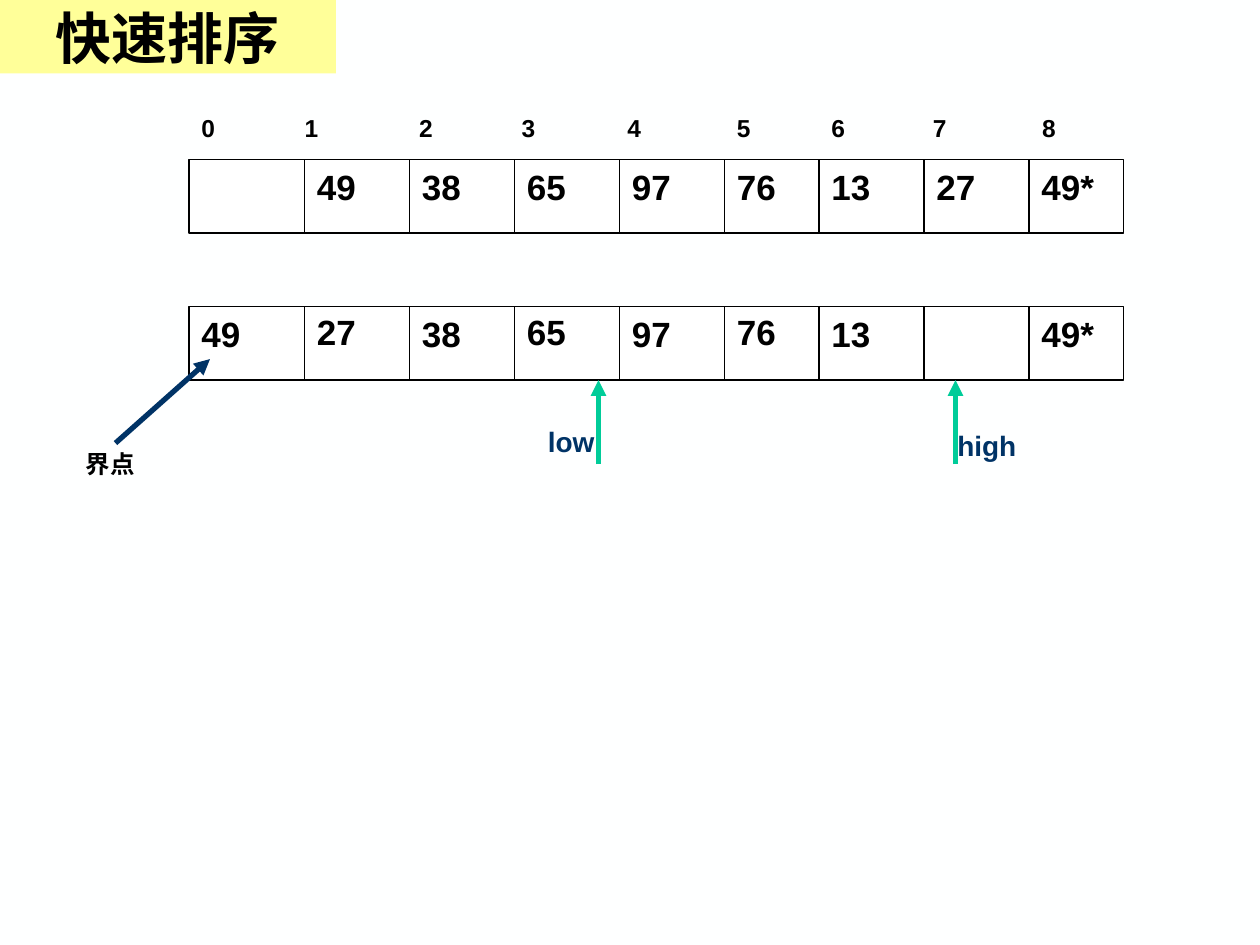
import pptx
import pptx.dml.color
import pptx.enum.shapes
import pptx.enum.text
import pptx.oxml
import pptx.oxml.ns
import pptx.util

Pt = pptx.util.Pt
RGBColor = pptx.dml.color.RGBColor
MSO_SHAPE = pptx.enum.shapes.MSO_SHAPE
MSO_CONNECTOR = pptx.enum.shapes.MSO_CONNECTOR
PP_ALIGN = pptx.enum.text.PP_ALIGN
MSO_ANCHOR = pptx.enum.text.MSO_ANCHOR
MSO_AUTO_SIZE = pptx.enum.text.MSO_AUTO_SIZE

BLACK = RGBColor(0x00, 0x00, 0x00)
WHITE = RGBColor(0xFF, 0xFF, 0xFF)
PAPER = RGBColor(0xFE, 0xFF, 0xFF)
YELLOW = RGBColor(0xFF, 0xFF, 0x99)
GREEN = RGBColor(0x00, 0xCC, 0x99)
NAVY = RGBColor(0x00, 0x33, 0x66)

# Left edges of the array cells, and the right edge of the last one
EDGES = [108, 174, 234, 294, 354, 414, 468, 528, 588, 642]
ROW_H = 42
INDEX_TABS = [59, 124.5, 183, 243.5, 306, 360, 418, 480.5]

BEFORE_TOP, AFTER_TOP = 91.2, 175.2
BEFORE = ["", "49", "38", "65", "97", "76", "13", "27", "49*"]
AFTER = ["49", "27", "38", "65", "97", "76", "13", "", "49*"]
RAISED = {1, 3, 5}  # cells of the second row whose text sits a little higher


def add_run(p, text, size, color, font):
    r = p.add_run()
    r.text = text
    r.font.size = Pt(size)
    r.font.bold = True
    r.font.name = font
    r.font.color.rgb = color


def add_text(shapes, text, x, y, w, h, size, color=BLACK):
    tb = shapes.add_textbox(Pt(x), Pt(y), Pt(w), Pt(h))
    tf = tb.text_frame
    tf.word_wrap = True
    tf.auto_size = MSO_AUTO_SIZE.SHAPE_TO_FIT_TEXT
    p = tf.paragraphs[0]
    p.space_before = Pt(size * 0.625)
    add_run(p, text, size, color, "Arial")
    return p


def add_line(shapes, x1, y1, x2, y2, color=BLACK, width=0.75, arrow=False):
    cn = shapes.add_connector(MSO_CONNECTOR.STRAIGHT, Pt(x1), Pt(y1), Pt(x2), Pt(y2))
    cn.line.color.rgb = color
    cn.line.width = Pt(width)
    if arrow:
        ln = cn.line._get_or_add_ln()
        pptx.oxml.ns.qn("a:tailEnd")
        tail = pptx.oxml.parse_xml(
            f'<a:tailEnd {pptx.oxml.ns.nsdecls("a")} type="triangle"/>')
        ln.append(tail)
    cn._element.spPr.append(
        pptx.oxml.parse_xml(f'<a:effectLst {pptx.oxml.ns.nsdecls("a")}/>'))


def add_title(s):
    sp = s.shapes.title
    sp.left, sp.top, sp.width, sp.height = Pt(0), Pt(0), Pt(192), Pt(42)
    sp.fill.solid()
    sp.fill.fore_color.rgb = YELLOW
    tf = sp.text_frame
    tf.auto_size = MSO_AUTO_SIZE.NONE
    tf.vertical_anchor = MSO_ANCHOR.MIDDLE
    p = tf.paragraphs[0]
    p.alignment = PP_ALIGN.CENTER
    add_run(p, "快速排序", 32, BLACK, "Times New Roman")


def add_index_labels(s):
    text = "\t".join(str(i) for i in range(9))
    p = add_text(s.shapes, text, EDGES[0], 61.2, EDGES[-1] - EDGES[0], 24.2, 14)
    stops = "".join(f'<a:tab pos="{Pt(x)}" algn="l"/>' for x in INDEX_TABS)
    p._p.get_or_add_pPr().append(pptx.oxml.parse_xml(
        f'<a:tabLst {pptx.oxml.ns.nsdecls("a")}>{stops}</a:tabLst>'))


def add_array(s, values, top, raised=()):
    # Frame and dividers
    grp = s.shapes.add_group_shape().shapes
    sp = grp.add_shape(MSO_SHAPE.RECTANGLE, Pt(EDGES[0]), Pt(top),
                       Pt(EDGES[-1] - EDGES[0]), Pt(ROW_H))
    sp.shadow.inherit = False
    sp.fill.solid()
    sp.fill.fore_color.rgb = WHITE
    sp.line.color.rgb = BLACK
    sp.line.width = Pt(0.75)
    for x in EDGES[1:-1]:
        add_line(grp, x, top, x, top + ROW_H)
    # Cell values
    for i, value in enumerate(values):
        if value:
            y = top - 1.4 if i in raised else top
            add_text(s.shapes, value, EDGES[i], y, 48, 31.5, 20)


def add_pointer(s, name, x, text_x, text_y):
    grp = s.shapes.add_group_shape().shapes
    row_bottom = AFTER_TOP + ROW_H
    add_line(grp, x, row_bottom + 48, x, row_bottom, GREEN, 3, arrow=True)
    add_text(grp, name, text_x, text_y, 66, 26.6, 16, NAVY)


def main():
    prs = pptx.Presentation()
    prs.slide_width, prs.slide_height = Pt(720), Pt(540)
    s = prs.slides.add_slide(prs.slide_layouts[5])
    s.background.fill.solid()
    s.background.fill.fore_color.rgb = PAPER

    add_title(s)

    # Array before and after the first exchange
    add_index_labels(s)
    add_array(s, BEFORE, BEFORE_TOP)
    add_array(s, AFTER, AFTER_TOP, RAISED)

    # Scan pointers
    add_pointer(s, "high", 546, 540, 241.2)
    add_pointer(s, "low", 342, 306, 239)

    # Pivot label and its arrow
    add_text(s.shapes, "界点", 42, 253.2, 60, 24.2, 14)
    add_line(s.shapes, 66, 253.2, 120, 205.2, NAVY, 3, arrow=True)

    prs.save("out.pptx")


if __name__ == "__main__":
    main()
